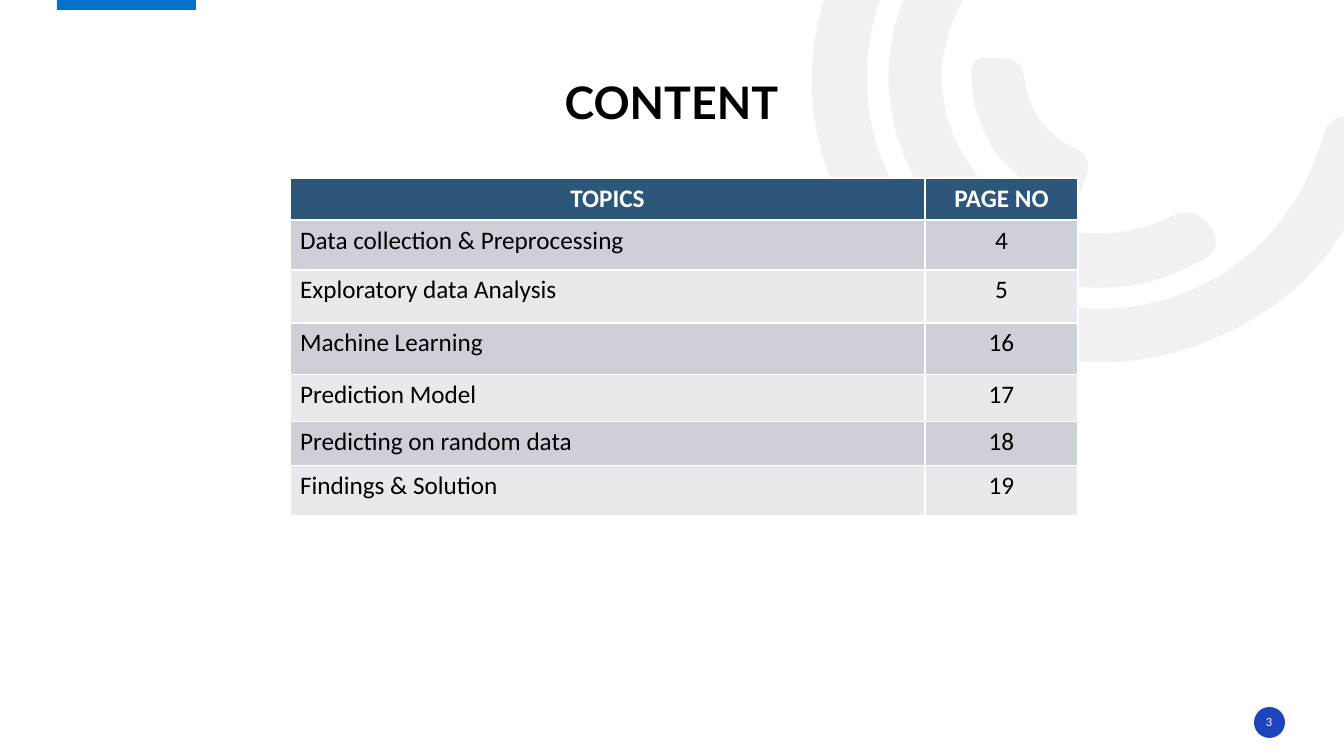
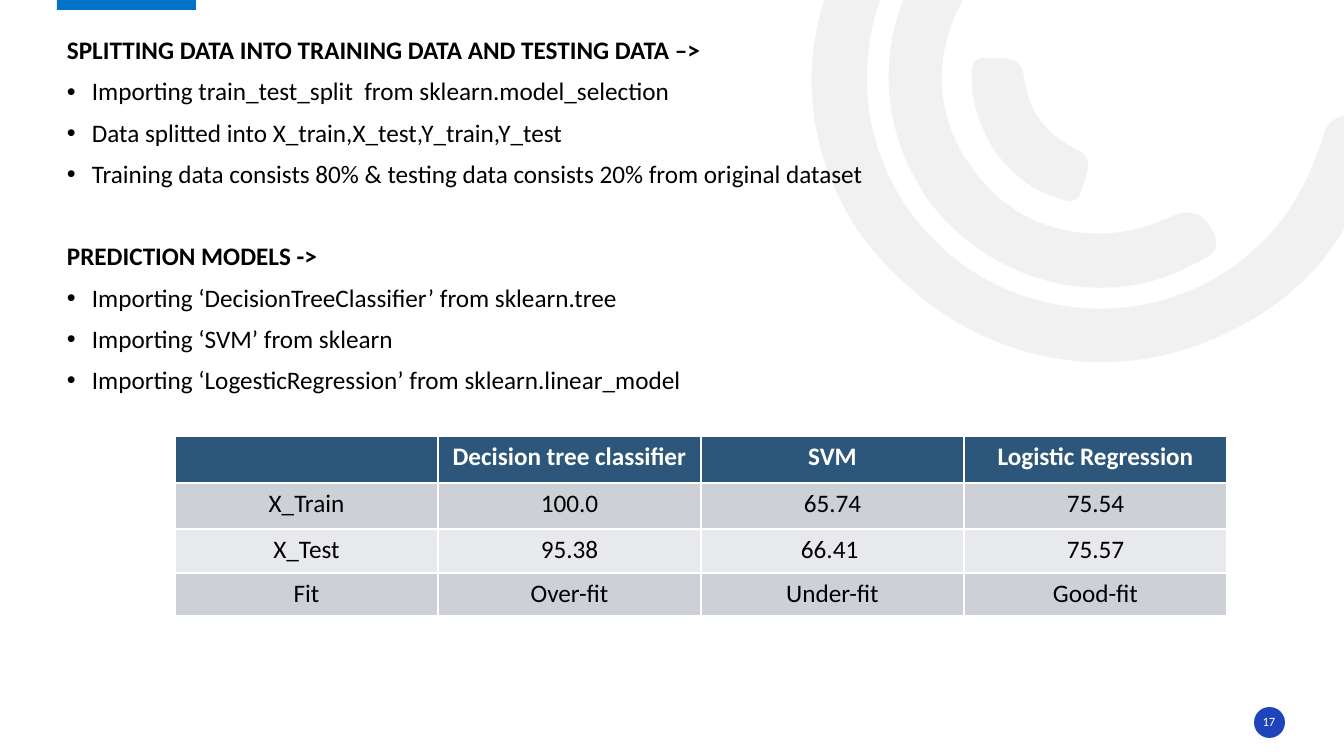
from dataclasses import dataclass
from math import cos, radians, sin

from lxml.etree import SubElement
from pptx import Presentation
from pptx.dml.color import RGBColor
from pptx.enum.shapes import MSO_SHAPE as Preset
from pptx.enum.text import MSO_ANCHOR as Anchor, PP_ALIGN as Align
from pptx.oxml.ns import qn
from pptx.shapes.autoshape import Shape
from pptx.slide import Slide
from pptx.text.text import _Paragraph as Paragraph
from pptx.util import Emu, Pt

EMU_PER_PIXEL = 914400 / 100.8
RING_ANGLE = 144.2

WHITE = "FFFFFF"
BLACK = "000000"
RING_GREY = "E7E6E6"
TAB_BLUE = "0072C7"
BADGE_BLUE = "1E44BC"
HEADER_BLUE = "2C567A"
BANDS = ("CDD1D7", "E8E9EC")
TITLE_FONT = "Lato"
BODY_FONT = "Calibri"

Curve = tuple[int, int, int, int, int, int]


@dataclass(frozen=True)
class Box:
    left: int
    top: int
    width: int
    height: int


@dataclass(frozen=True)
class TextStyle:
    size: int
    color: str = BLACK
    bold: bool = False
    font: str = BODY_FONT


@dataclass(frozen=True)
class Arc:
    box: Box
    start: tuple[int, int]
    curves: tuple[Curve, ...]


@dataclass(frozen=True)
class Grid:
    left: int
    top: int
    columns: tuple[int, ...]
    heights: tuple[int, ...]
    aligns: tuple[Align, ...]
    rows: tuple[tuple[str, ...], ...]


@dataclass(frozen=True)
class Section:
    heading: str
    space_before: float
    bullets: tuple[str, ...]


TITLE = TextStyle(32, bold=True, font=TITLE_FONT)
HEADING = TextStyle(18, bold=True)
BODY = TextStyle(18)
TABLE_HEADER = TextStyle(18, WHITE, bold=True)
PAGE_NUMBER = TextStyle(9, WHITE)

ARCS = (
    Arc(Box(820, -204, 489, 605), (858, 231), (
        (805, 150, 793, 50, 845, -50),
        (897, -153, 984, -205, 1099, -209),
        (1114, -209, 1130, -212, 1140, -197),
        (1153, -176, 1136, -155, 1107, -155),
        (975, -155, 872, -59, 867, 69),
        (862, 182, 943, 283, 1054, 304),
        (1169, 327, 1280, 263, 1317, 153),
        (1319, 149, 1321, 145, 1322, 141),
        (1326, 120, 1338, 112, 1360, 118),
        (1384, 125, 1378, 142, 1372, 157),
        (1351, 247, 1292, 309, 1201, 344),
        (1079, 390, 943, 348, 858, 231),
    )),
    Arc(Box(908, -79, 215, 429), (929, 201), (
        (869, 116, 876, 7, 948, -69),
        (959, -80, 970, -96, 988, -79),
        (1003, -65, 1005, -50, 987, -32),
        (932, 26, 927, 109, 973, 169),
        (1016, 231, 1097, 251, 1170, 217),
        (1191, 207, 1203, 214, 1213, 231),
        (1223, 252, 1207, 258, 1192, 265),
        (1105, 312, 991, 284, 929, 201),
    )),
    Arc(Box(988, 37, 79, 184), (995, 152), (
        (983, 131, 972, 108, 972, 83),
        (972, 74, 969, 57, 984, 58),
        (999, 59, 1021, 53, 1024, 77),
        (1029, 111, 1044, 133, 1076, 149),
        (1097, 158, 1085, 177, 1081, 191),
        (1077, 207, 1063, 200, 1053, 196),
        (1029, 189, 1011, 171, 995, 152),
    )),
)

CONTENTS = Grid(
    290, 178, (635, 153), (42, 50, 53, 52, 47, 44, 50),
    (Align.LEFT, Align.CENTER),
    (
        ("TOPICS", "PAGE NO"),
        ("Data collection & Preprocessing", "4"),
        ("Exploratory data Analysis", "5"),
        ("Machine Learning", "16"),
        ("Prediction Model", "17"),
        ("Predicting on random data", "18"),
        ("Findings & Solution", "19"),
    ),
)

SCORES = Grid(
    175, 436, (263,) * 4, (47, 46, 44, 43), (Align.CENTER,) * 4,
    (
        ("", "Decision tree classifier", "SVM", "Logistic Regression"),
        ("X_Train", "100.0", "65.74", "75.54"),
        ("X_Test", "95.38", "66.41 ", "75.57"),
        ("Fit", "Over-fit", "Under-fit", "Good-fit"),
    ),
)

SECTIONS = (
    Section("SPLITTING DATA INTO TRAINING DATA AND TESTING DATA –>", 10, (
        "Importing train_test_split  from sklearn.model_selection",
        "Data splitted into X_train,X_test,Y_train,Y_test",
        "Training data consists 80% & testing data consists 20% from original dataset",
    )),
    Section("PREDICTION MODELS ->", 39.5, (
        "Importing ‘DecisionTreeClassifier’ from sklearn.tree",
        "Importing ‘SVM’ from sklearn",
        "Importing ‘LogesticRegression’ from sklearn.linear_model",
    )),
)


def px(length: float) -> Emu:
    return Emu(round(length * EMU_PER_PIXEL))


def rgb(color: str) -> RGBColor:
    return RGBColor.from_string(color)


def place(box: Box) -> tuple[Emu, Emu, Emu, Emu]:
    return px(box.left), px(box.top), px(box.width), px(box.height)


def paint(shape: Shape, color: str) -> None:
    shape.shadow.inherit = False
    shape.fill.solid()
    shape.fill.fore_color.rgb = rgb(color)
    shape.line.fill.background()


def write(para: Paragraph, text: str, style: TextStyle, align: Align = Align.LEFT) -> None:
    para.text = text
    para.alignment = align
    para.font.name = style.font
    para.font.size = Pt(style.size)
    para.font.bold = style.bold
    para.font.color.rgb = rgb(style.color)


def add_preset(page: Slide, preset: Preset, box: Box, color: str) -> Shape:
    shape = page.shapes.add_shape(preset, *place(box))
    paint(shape, color)
    return shape


def add_label(page: Slide, box: Box, text: str, style: TextStyle, anchor: Anchor) -> Paragraph:
    frame = page.shapes.add_textbox(*place(box)).text_frame
    frame.word_wrap = True
    frame.vertical_anchor = anchor
    frame.margin_left = frame.margin_right = frame.margin_top = frame.margin_bottom = 0
    write(frame.paragraphs[0], text, style, Align.CENTER)
    return frame.paragraphs[0]


def upright(box: Box, x: int, y: int) -> tuple[Emu, Emu]:
    turn = radians(-RING_ANGLE)
    across = x - box.left - box.width / 2
    down = y - box.top - box.height / 2
    return (
        px(box.width / 2 + across * cos(turn) - down * sin(turn)),
        px(box.height / 2 + across * sin(turn) + down * cos(turn)),
    )


def add_arc(page: Slide, arc: Arc) -> None:
    left, top, width, height = place(arc.box)
    start = upright(arc.box, *arc.start)
    curves = [
        [upright(arc.box, x, y) for x, y in zip(curve[0::2], curve[1::2])]
        for curve in arc.curves
    ]
    builder = page.shapes.build_freeform(*start)
    builder.add_line_segments([curve[-1] for curve in curves], close=True)
    shape = builder.convert_to_shape()
    outline = next(shape._element.iter(qn("a:path")))
    outline.clear()
    outline.set("w", str(width))
    outline.set("h", str(height))
    steps = [("a:moveTo", [start]), *(("a:cubicBezTo", curve) for curve in curves)]
    for tag, points in steps:
        step = SubElement(outline, qn(tag))
        for x, y in points:
            SubElement(step, qn("a:pt"), x=str(x), y=str(y))
    SubElement(outline, qn("a:close"))
    shape.left, shape.top, shape.width, shape.height = left, top, width, height
    shape.rotation = RING_ANGLE
    paint(shape, RING_GREY)
    tint = shape._element.spPr.find(qn("a:solidFill"))[0]
    SubElement(tint, qn("a:alpha"), val="53000")


def add_page(deck: Presentation, number: str) -> Slide:
    page = deck.slides.add_slide(deck.slide_layouts[6])
    for arc in ARCS:
        add_arc(page, arc)
    add_preset(page, Preset.RECTANGLE, Box(57, -2, 139, 12), TAB_BLUE)
    add_preset(page, Preset.OVAL, Box(1254, 707, 31, 31), BADGE_BLUE)
    add_label(page, Box(1253, 712, 32, 20), number, PAGE_NUMBER, Anchor.MIDDLE)
    return page


def add_footer_panel(page: Slide) -> None:
    panel = add_preset(page, Preset.RECTANGLE, Box(29, 688, 163, 51), WHITE)
    panel.line.color.rgb = rgb(WHITE)
    panel.line.width = Pt(1)


def add_grid(page: Slide, grid: Grid) -> None:
    box = Box(grid.left, grid.top, sum(grid.columns), sum(grid.heights))
    table = page.shapes.add_table(len(grid.rows), len(grid.columns), *place(box)).table
    for column, width in zip(table.columns, grid.columns):
        column.width = px(width)
    for row, height in zip(table.rows, grid.heights):
        row.height = px(height)
    for row, texts in enumerate(grid.rows):
        header = row == 0
        for column, text in enumerate(texts):
            cell = table.cell(row, column)
            cell.fill.solid()
            cell.fill.fore_color.rgb = rgb(HEADER_BLUE if header else BANDS[(row - 1) % 2])
            align = Align.CENTER if header else grid.aligns[column]
            write(cell.text_frame.paragraphs[0], text, TABLE_HEADER if header else BODY, align)


def add_bullet(para: Paragraph) -> None:
    properties = para._p.get_or_add_pPr()
    indent = px(25)
    properties.set("marL", str(indent))
    properties.set("indent", str(-indent))
    SubElement(properties, qn("a:buFont"), typeface="Arial")
    SubElement(properties, qn("a:buChar"), char="•")


def add_sections(page: Slide, box: Box, sections: tuple[Section, ...]) -> None:
    frame = page.shapes.add_textbox(*place(box)).text_frame
    frame.word_wrap = True
    para = frame.paragraphs[0]
    for section in sections:
        for text in (section.heading, *section.bullets):
            heading = text == section.heading
            if para.text:
                para = frame.add_paragraph()
            if not heading:
                add_bullet(para)
            write(para, text, HEADING if heading else BODY)
            para.line_spacing = 0.9
            para.space_before = Pt(section.space_before if heading else 10)


deck = Presentation()
deck.slide_width, deck.slide_height = px(1344), px(756)

contents_page = add_page(deck, "3")
title = add_label(contents_page, Box(57, 66, 1229, 63), "CONTENT", TITLE, Anchor.BOTTOM)
title.line_spacing = 0.9
add_grid(contents_page, CONTENTS)
add_footer_panel(contents_page)

models_page = add_page(deck, "17")
add_sections(models_page, Box(57, 33, 1194, 648), SECTIONS)
add_grid(models_page, SCORES)
add_footer_panel(models_page)

deck.save("out.pptx")
